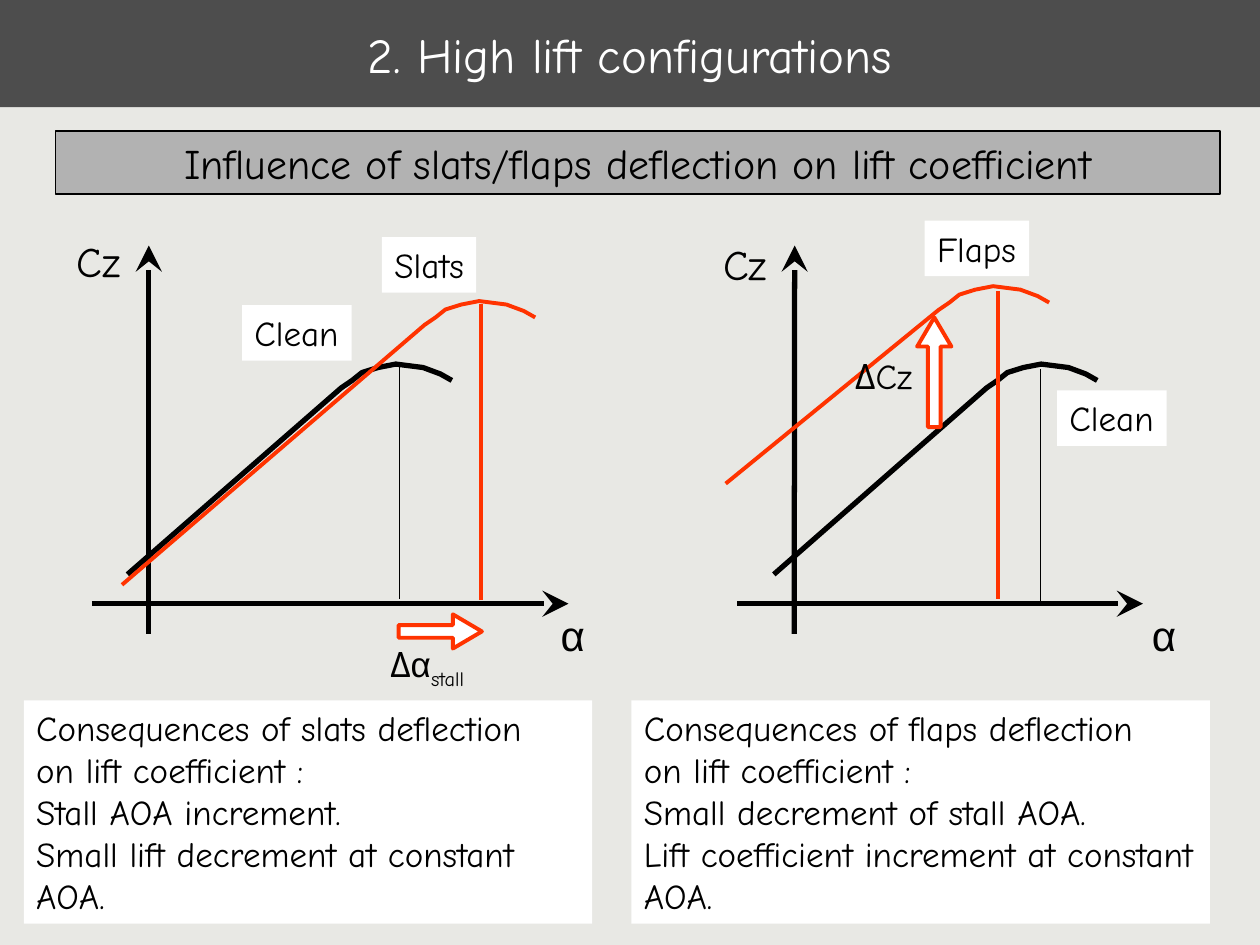
"""Build the slide on how slats and flaps change the lift curve."""
from lxml import etree
from pptx import Presentation
from pptx.dml.color import RGBColor
from pptx.enum.shapes import MSO_CONNECTOR, MSO_SHAPE
from pptx.enum.text import MSO_ANCHOR, MSO_AUTO_SIZE, PP_ALIGN
from pptx.oxml.ns import qn
from pptx.util import Cm, Pt

STRAIGHT = MSO_CONNECTOR.STRAIGHT
RECTANGLE, UP_ARROW = MSO_SHAPE.RECTANGLE, MSO_SHAPE.UP_ARROW
TOP, MIDDLE = MSO_ANCHOR.TOP, MSO_ANCHOR.MIDDLE
NO_AUTOFIT = MSO_AUTO_SIZE.NONE
LEFT, CENTER = PP_ALIGN.LEFT, PP_ALIGN.CENTER

BLACK = RGBColor(0x00, 0x00, 0x00)
WHITE = RGBColor(0xFF, 0xFF, 0xFF)
ORANGE = RGBColor(0xFF, 0x33, 0x00)
PAPER = RGBColor(0xE8, 0xE8, 0xE4)
CHARCOAL = RGBColor(0x4D, 0x4D, 0x4D)
SILVER = RGBColor(0xB2, 0xB2, 0xB2)

HAND, SANS = "Comic Neue", "Arial"
THICK, MEDIUM, THIN = 3, 2.25, 0.75

STALL_CAP = [(0, 0), (0.22, -0.15), (0.42, -0.31), (0.74, -0.41), (1.1, -0.48),
             (1.65, -0.41), (2, -0.28), (2.23, -0.15)]

SLATS_NOTES = ["Consequences of slats deflection", "on lift coefficient :",
               "Stall AOA increment.", "Small lift decrement at constant AOA."]
FLAPS_NOTES = ["Consequences of flaps deflection", "on lift coefficient :",
               "Small decrement of stall AOA.",
               "Lift coefficient increment at constant AOA."]


def lengths(values):
    """Turn centimetre values into slide lengths."""
    return [Cm(value) for value in values]


def write(shape, paragraphs, size=20, font=HAND, color=BLACK, align=LEFT,
          anchor=TOP, wrap=True, margins=(0.25, 0.13)):
    """Fill a shape with paragraphs, each a string or a list of (text, font, baseline)."""
    frame = shape.text_frame
    frame.auto_size = NO_AUTOFIT
    frame.word_wrap = wrap
    frame.vertical_anchor = anchor
    frame.margin_left = frame.margin_right = Cm(margins[0])
    frame.margin_top = frame.margin_bottom = Cm(margins[1])
    for index, content in enumerate(paragraphs):
        paragraph = frame.add_paragraph() if index else frame.paragraphs[0]
        paragraph.alignment = align
        pieces = [(content, font, 0)] if isinstance(content, str) else content
        for text, face, baseline in pieces:
            run = paragraph.add_run()
            run.text = text
            run.font.size = Pt(size)
            run.font.name = face
            run.font.color.rgb = color
            if baseline:
                run.font._element.set("baseline", str(baseline * 1000))


def add_panel(shapes, box, paragraphs, fill=WHITE, outline=None, **text_format):
    """Add a filled rectangle with text."""
    panel = shapes.add_shape(RECTANGLE, *lengths(box))
    panel.shadow.inherit = False
    panel.fill.solid()
    panel.fill.fore_color.rgb = fill
    if outline is None:
        panel.line.fill.background()
    else:
        panel.line.color.rgb = outline
        panel.line.width = Pt(1)
    write(panel, paragraphs, **text_format)


def add_label(shapes, box, content, **text_format):
    """Add an unfilled one-line text box."""
    write(shapes.add_textbox(*lengths(box)), [content], **text_format)


def add_line(shapes, ends, color=BLACK, width=THICK, arrow=False):
    """Add a straight line, with a stealth arrowhead at its end if asked."""
    line = shapes.add_connector(STRAIGHT, *lengths(ends))
    line.line.color.rgb = color
    line.line.width = Pt(width)
    if arrow:
        outline = line.line._get_or_add_ln()
        etree.SubElement(outline, qn("a:tailEnd"), type="stealth", w="lg", len="lg")
    etree.SubElement(line._element.spPr, qn("a:effectLst"))


def add_lift_curve(shapes, start, bend, color=BLACK, width=THICK):
    """Add a lift curve: a straight slope up to the bend, then the stall cap."""
    builder = shapes.build_freeform(*lengths(start))
    cap = [lengths((bend[0] + dx, bend[1] + dy)) for dx, dy in STALL_CAP]
    builder.add_line_segments(cap, close=False)
    curve = builder.convert_to_shape()
    curve.shadow.inherit = False
    curve.fill.background()
    curve.line.color.rgb = color
    curve.line.width = Pt(width)


def add_shift_arrow(shapes, box, rotation=0):
    """Add the block arrow that marks the shift between two curves."""
    arrow = shapes.add_shape(UP_ARROW, *lengths(box))
    arrow.shadow.inherit = False
    arrow.rotation = rotation
    arrow.adjustments[0], arrow.adjustments[1] = 0.37, 0.85
    arrow.fill.solid()
    arrow.fill.fore_color.rgb = WHITE
    arrow.line.color.rgb = ORANGE
    arrow.line.width = Pt(MEDIUM)


def add_axes(shapes, x_axis, y_axis, lift_at, angle_at):
    """Add both axes with their names."""
    add_line(shapes, x_axis, arrow=True)
    add_line(shapes, y_axis, arrow=True)
    add_label(shapes, (*lift_at, 0.89, 1.02), "Cz", size=24, wrap=False, margins=(0, 0))
    add_label(shapes, (*angle_at, 0.97, 1.02), "α", size=24, font=SANS, margins=(0, 0))


def add_slats_diagram(shapes):
    """Draw the effect of slats."""
    add_axes(shapes, (1.85, 12.17, 11.46, 12.17), (3, 12.78, 3, 4.95),
             (1.55, 4.75), (11.3, 12.29))
    add_lift_curve(shapes, (2.57, 11.58), (6.88, 7.82))
    add_lift_curve(shapes, (2.46, 11.79), (8.56, 6.55), ORANGE, MEDIUM)
    add_panel(shapes, (7.7, 4.78, 1.9, 1.12), ["Slats"], wrap=False)
    add_panel(shapes, (4.88, 6.15, 2.21, 1.12), ["Clean"], wrap=False)
    add_line(shapes, (8.05, 7.29, 8.05, 12.07), width=THIN)
    add_line(shapes, (9.7, 6.12, 9.7, 12.09), ORANGE, MEDIUM)
    add_shift_arrow(shapes, (8.53, 11.89, 0.69, 1.68), rotation=90)
    add_label(shapes, (7.62, 12.83, 2.44, 1.22),
              [("Δ", HAND, 0), ("α", SANS, 0), ("stall", HAND, -25)])


def add_flaps_diagram(shapes):
    """Draw the effect of flaps."""
    add_axes(shapes, (14.86, 12.17, 23.04, 12.17), (16.01, 12.78, 16.02, 4.95),
             (14.58, 4.8), (23.22, 12.29))
    add_lift_curve(shapes, (15.6, 11.58), (19.89, 7.82))
    add_lift_curve(shapes, (14.63, 9.75), (18.92, 6.25), ORANGE, MEDIUM)
    add_panel(shapes, (18.64, 4.45, 2.11, 1.12), ["Flaps"], wrap=False)
    add_panel(shapes, (21.31, 7.87, 2.21, 1.12), ["Clean"], wrap=False)
    add_shift_arrow(shapes, (18.49, 6.4, 0.69, 2.21))
    add_label(shapes, (16.99, 7.01, 1.65, 1.12), "ΔCz", wrap=False)
    add_line(shapes, (20.98, 7.44, 20.98, 12.19), width=THIN)
    add_line(shapes, (20.12, 5.87, 20.12, 12.07), ORANGE, MEDIUM)


def add_title(slide):
    """Format the title placeholder as a full-width bar."""
    title = slide.shapes.title
    title.left, title.top, title.width, title.height = lengths((0, 0, 25.4, 2.16))
    title.fill.solid()
    title.fill.fore_color.rgb = CHARCOAL
    write(title, ["2. High lift configurations"], size=28, color=WHITE,
          align=CENTER, anchor=MIDDLE)


def main():
    """Build and save the slide."""
    deck = Presentation()
    deck.slide_width, deck.slide_height = lengths((25.4, 19.05))
    slide = deck.slides.add_slide(deck.slide_layouts[5])
    slide.background.fill.solid()
    slide.background.fill.fore_color.rgb = PAPER
    add_title(slide)
    add_panel(slide.shapes, (0.48, 14.12, 11.46, 4.5), SLATS_NOTES)
    add_panel(slide.shapes, (12.73, 14.12, 11.66, 4.5), FLAPS_NOTES)
    add_slats_diagram(slide.shapes.add_group_shape().shapes)
    add_flaps_diagram(slide.shapes.add_group_shape().shapes)
    add_panel(slide.shapes, (1.12, 2.64, 23.47, 1.27),
              ["Influence of slats/flaps deflection on lift coefficient"],
              fill=SILVER, outline=BLACK, size=24, align=CENTER)
    deck.save("out.pptx")


if __name__ == "__main__":
    main()
